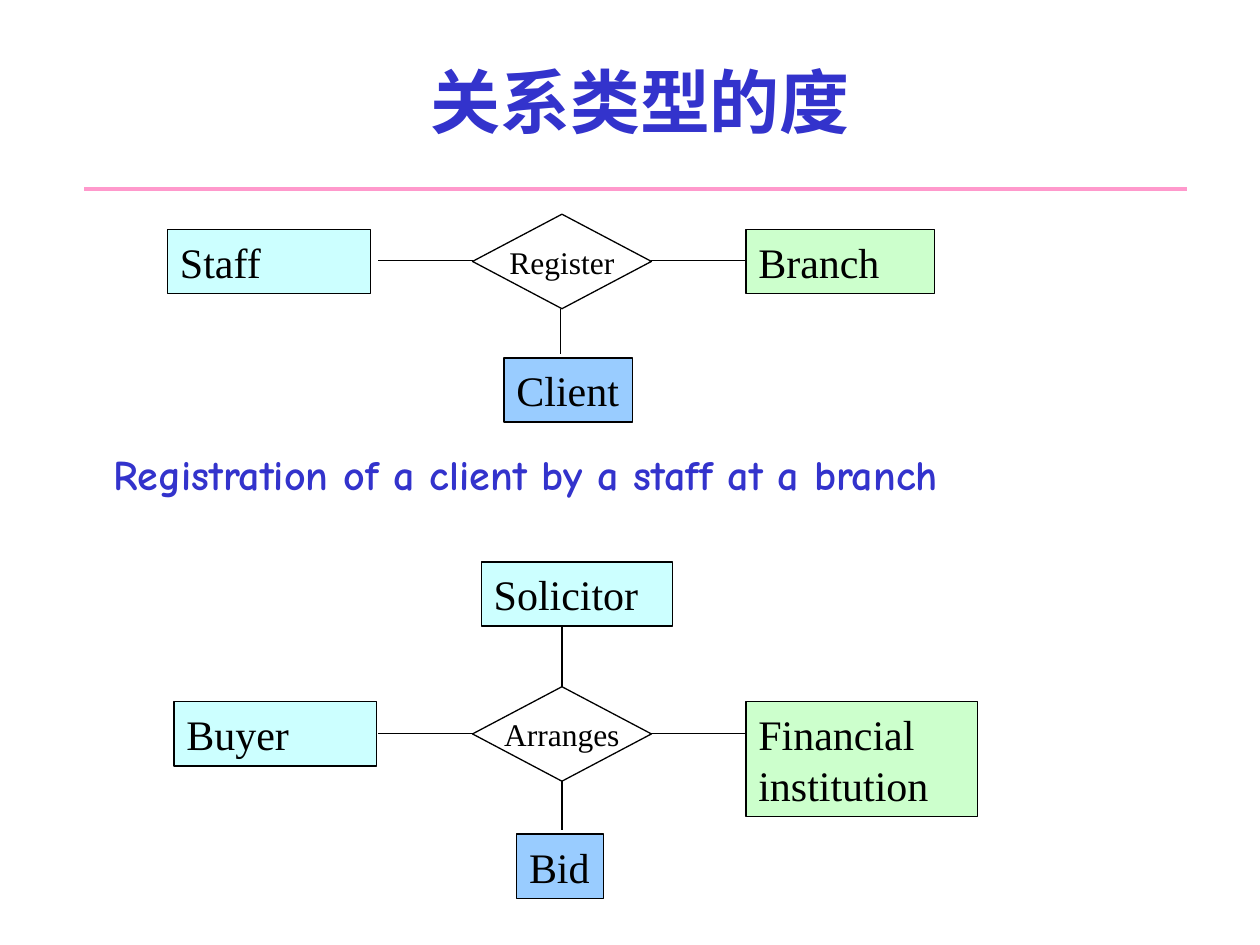
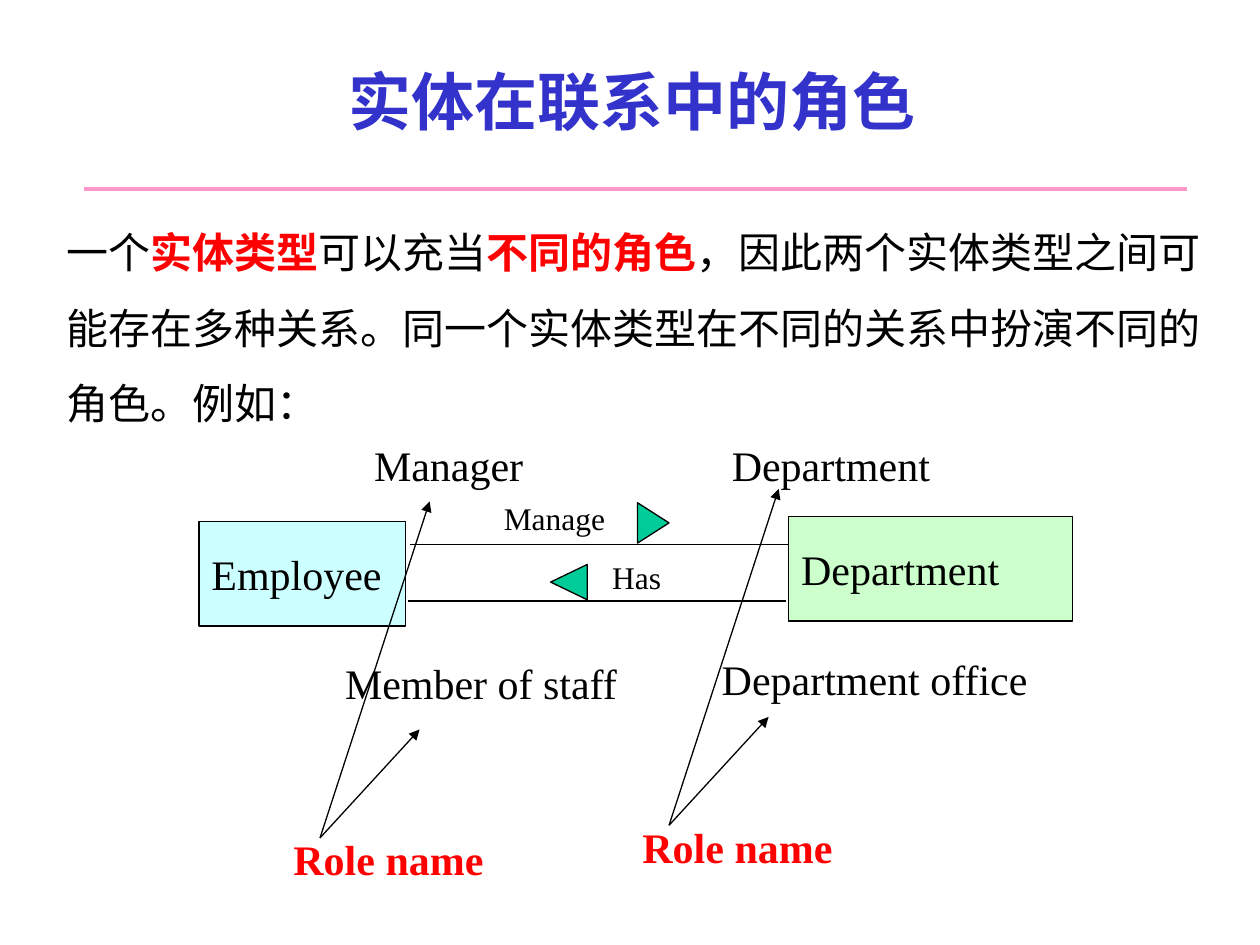
from lxml.etree import SubElement
from pptx import Presentation
from pptx.dml.color import RGBColor
from pptx.enum.shapes import MSO_CONNECTOR as Link, MSO_SHAPE as Kind
from pptx.enum.text import MSO_ANCHOR as Anchor, PP_ALIGN as Align
from pptx.oxml.ns import qn
from pptx.util import Inches, Pt

SERIF = "Times New Roman"
HAN = "Noto Sans CJK SC"
COMIC = "Comic Neue"
BLACK, RED, BLUE, PINK = "000000", "FF0000", "3333CC", "FF99CC"
CYAN, GREEN, SKY, TEAL = "CCFFFF", "CCFFCC", "99CCFF", "00CC99"


def color(code):
    return RGBColor.from_string(code)


def add_run(para, text, size=24, face=SERIF, ink=BLACK, bold=False):
    run = para.add_run()
    run.text = text
    font = run.font
    font.size, font.bold, font.name = Pt(size), bold, face
    font.color.rgb = color(ink)
    SubElement(font._element, qn("a:ea")).set("typeface", face)


def write(shape, text, align=Align.LEFT, anchor=Anchor.MIDDLE, wrap=True,
          side=0.1, **style):
    frame = shape.text_frame
    frame.word_wrap = wrap
    frame.vertical_anchor = anchor
    frame.margin_left, frame.margin_right = Inches(side), 0
    para = frame.paragraphs[0]
    para.alignment = align
    if text:
        add_run(para, text, **style)
    return para


def label(slide, text, x, y, w, h=0.5, **style):
    box = slide.shapes.add_textbox(Inches(x), Inches(y), Inches(w), Inches(h))
    return write(box, text, anchor=Anchor.TOP, **style)


def paint(shape, fill=None):
    shape.shadow.inherit = False
    if fill:
        shape.fill.solid()
        shape.fill.fore_color.rgb = color(fill)
    else:
        shape.fill.background()
    shape.line.color.rgb = color(BLACK)
    shape.line.width = Pt(0.75)


def entity(slide, text, x, y, w, h=0.51, fill=CYAN):
    box = slide.shapes.add_shape(
        Kind.RECTANGLE, Inches(x), Inches(y), Inches(w), Inches(h))
    paint(box, fill)
    write(box, text)


def diamond(slide, text, x, y):
    shape = slide.shapes.add_shape(
        Kind.DIAMOND, Inches(x), Inches(y), Inches(1.42), Inches(0.75))
    paint(shape)
    write(shape, text, align=Align.CENTER, wrap=False, side=0, size=18)


def line(slide, x1, y1, x2, y2, ink=BLACK, width=0.75, arrow=False):
    link = slide.shapes.add_connector(
        Link.STRAIGHT, Inches(x1), Inches(y1), Inches(x2), Inches(y2))
    link.line.color.rgb = color(ink)
    link.line.width = Pt(width)
    if arrow:
        SubElement(link.line._get_or_add_ln(), qn("a:tailEnd")).set(
            "type", "triangle")
    SubElement(link._element.spPr, qn("a:effectLst"))


def marker(slide, base, tip, top, height):
    points = [(tip, top + height / 2), (base, top + height)]
    build = slide.shapes.build_freeform(Inches(base), Inches(top), 1.0)
    build.add_line_segments([(Inches(x), Inches(y)) for x, y in points])
    paint(build.convert_to_shape(), TEAL)


def page(deck, text, x, w, size):
    slide = deck.slides.add_slide(deck.slide_layouts[5])
    title = slide.shapes.title
    title.left, title.top = Inches(x), Inches(0.17)
    title.width, title.height = Inches(w), Inches(1.25)
    write(title, text, align=Align.CENTER, size=size, face=HAN, ink=BLUE,
          bold=True)
    title.text_frame.margin_right = Inches(0.1)
    line(slide, 0.67, 1.5, 9.42, 1.5, ink=PINK, width=2)
    return slide


def relation(slide, text, y):
    diamond(slide, text, 3.75, y)
    for x in (3, 5.17):
        line(slide, x, y + 0.37, x + 0.75, y + 0.37)


def role(slide, x, y):
    label(slide, "Role name", x, y, 1.71, ink=RED, bold=True)
    x, y = x + 0.31, y + 0.08
    for dx, dy in ((0.79, 0.86), (0.87, 2.67)):
        line(slide, x, y, x + dx, y - dy, arrow=True)


def degree(deck):
    slide = page(deck, "关系类型的度", 0.83, 8.5, 40)
    label(slide, "Registration of a client by a staff at a branch",
          0.8, 3.51, 8.72, face=COMIC, ink=BLUE, bold=True)
    relation(slide, "Register", 1.7)
    entity(slide, "Staff", 1.33, 1.82, 1.61)
    entity(slide, "Branch", 5.92, 1.82, 1.5, fill=GREEN)
    entity(slide, "Client", 4, 2.84, 1.02, fill=SKY)
    line(slide, 4.45, 2.45, 4.45, 2.81)

    relation(slide, "Arranges", 5.45)
    entity(slide, "Buyer", 1.38, 5.57, 1.61)
    entity(slide, "Financial institution", 5.92, 5.57, 1.84, 0.91, GREEN)
    entity(slide, "Bid", 4.1, 6.62, 0.69, fill=SKY)
    entity(slide, "Solicitor", 3.82, 4.46, 1.52)
    for top, end in ((4.98, 5.45), (6.2, 6.59)):
        line(slide, 4.46, top, 4.46, end)


def roles(deck):
    slide = page(deck, "实体在联系中的角色", 0.08, 9.88, 36)
    para = label(slide, "", 0.43, 1.55, 9.21, 1.54)
    para.line_spacing = 1.5
    parts = ("一个", "实体类型", "可以充当", "不同的角色",
             "，因此两个实体类型之间可能存在多种关系。"
             "同一个实体类型在不同的关系中扮演不同的角色。例如：")
    for i, part in enumerate(parts):
        key = i % 2 == 1
        add_run(para, part, face=HAN, ink=RED if key else BLACK, bold=key)

    entity(slide, "Employee", 1.58, 4.14, 1.64, 0.83)
    entity(slide, "Department", 6.26, 4.1, 2.25, 0.83, GREEN)
    for x, y in ((3.25, 4.32), (3.24, 4.77)):
        line(slide, x, y, x + 3, y)
    for text, x, y, w in (("Manage", 3.9, 3.91, 1.16),
                          ("Has", 4.76, 4.38, 0.85)):
        label(slide, text, x, y, w, 0.4, size=18)
    marker(slide, 5.06, 5.31, 3.99, 0.32)
    marker(slide, 4.66, 4.37, 4.48, 0.28)
    for text, x, y, w in (("Manager", 2.87, 3.44, 1.39),
                          ("Department", 5.71, 3.44, 1.77),
                          ("Member of staff", 2.64, 5.17, 2.37),
                          ("Department office", 5.63, 5.14, 2.63)):
        label(slide, text, x, y, w)
    role(slide, 5, 6.47)
    role(slide, 2.23, 6.57)


def main():
    deck = Presentation()
    deck.slide_width, deck.slide_height = Inches(10), Inches(7.5)
    degree(deck)
    roles(deck)
    deck.save("out.pptx")


if __name__ == "__main__":
    main()
